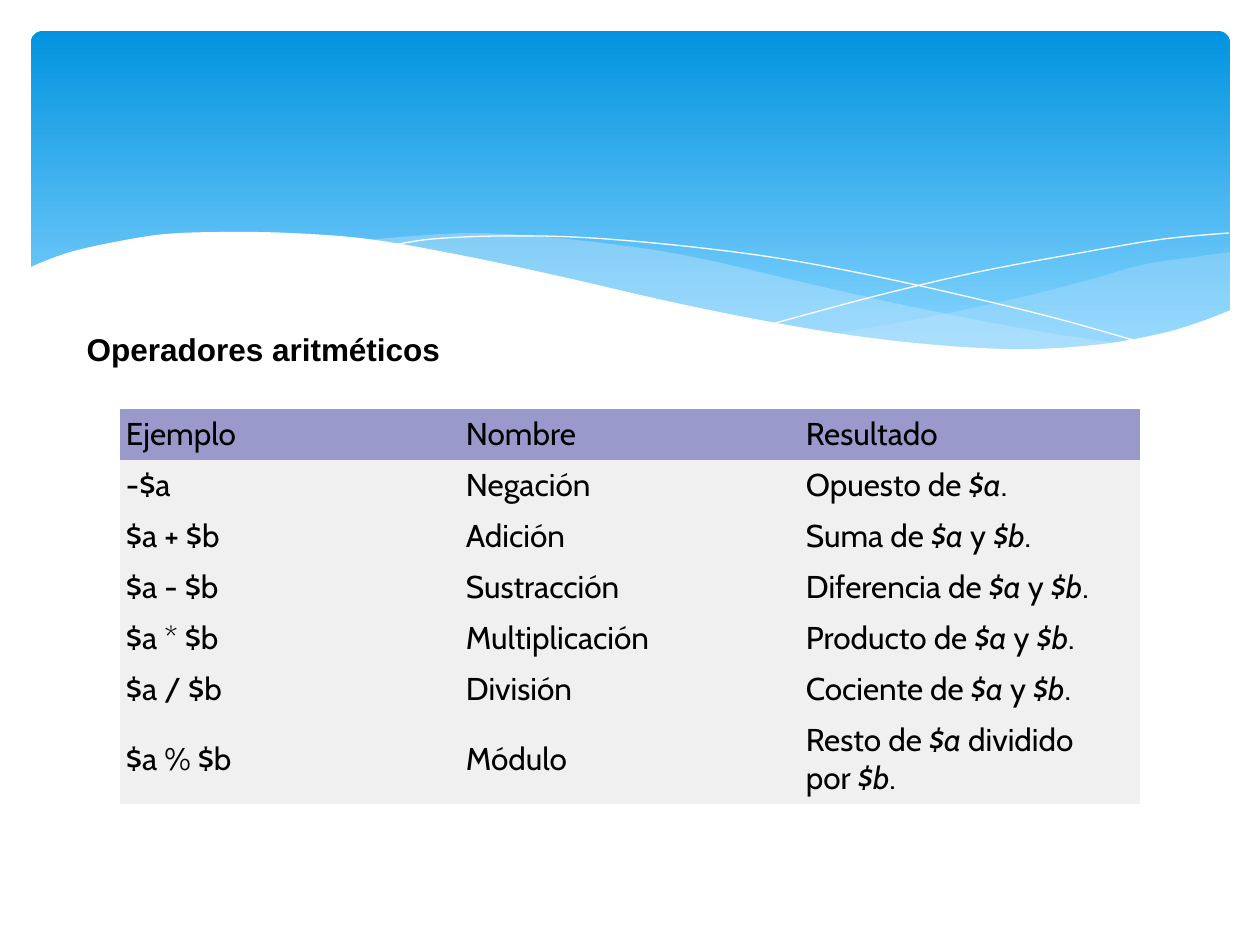
import pptx
import pptx.dml.color
import pptx.enum.shapes
import pptx.enum.text
import pptx.oxml.ns
import pptx.util
import lxml.etree

RGBColor = pptx.dml.color.RGBColor
SKY_TOP = RGBColor(0x02, 0x93, 0xE0)
SKY_BOTTOM = RGBColor(0x83, 0xD3, 0xFE)
SWELL = RGBColor(0xC6, 0xE7, 0xFC)
WHITE = RGBColor(0xFF, 0xFF, 0xFF)
BLACK = RGBColor(0x00, 0x00, 0x00)
HEADER_FILL = RGBColor(0x99, 0x99, 0xCC)
BODY_FILL = RGBColor(0xF0, 0xF0, 0xF0)

EMU_PER_PX = 914400 / 126
NO_BREAK_SPACE = chr(160)
PLAIN_TABLE_STYLE = "{2D5ABB26-0587-4C30-8999-92F81FD0307C}"

# Wave outlines, in px from the top left of the banner
RIGHT_SWELL_TOP = [(802, 303), (888, 288), (983, 268), (1054, 250), (1111, 234),
                   (1163, 226), (1199, 221)]
RIGHT_SWELL_BASE = [(1199, 280), (1165, 293), (1119, 305), (1056, 316), (995, 319),
                    (923, 317), (857, 310), (802, 303)]
LEFT_SWELL_TOP = [(329, 210), (382, 205), (448, 202), (526, 207), (617, 218), (686, 231),
                  (762, 249), (859, 271), (946, 289), (1024, 303), (1094, 313)]
LEFT_SWELL_BASE = [(1094, 313), (1037, 318), (972, 319), (896, 316), (807, 304),
                   (705, 287), (588, 261), (507, 241), (425, 225), (329, 210)]
FALLING_THREAD = [(358, 215), (402, 208), (474, 205), (560, 207), (670, 217),
                  (770, 231), (885, 254), (1016, 285), (1112, 312)]
RISING_THREAD = [(741, 293), (845, 265), (947, 241), (1060, 220), (1133, 208), (1198, 202)]
FRONT_WAVE = [(-2, 237), (14, 230), (43, 220), (89, 210), (135, 203), (192, 201),
              (259, 202), (337, 208), (429, 224), (532, 246), (636, 270), (729, 289),
              (811, 303), (884, 312), (949, 317), (1006, 318), (1072, 313), (1128, 303),
              (1166, 292), (1200, 279)]
FRONT_WAVE_FLOOR = [(1200, 384), (-2, 384)]

# Table wording; text between bars is a variable in italics
OPERATORS = [
    ("Ejemplo", "Nombre", "Resultado"),
    ("-$a", "Negación", "Opuesto de |$a|."),
    ("$a + $b", "Adición", "Suma de |$a| y |$b|."),
    ("$a - $b", "Sustracción", "Diferencia de |$a| y |$b|."),
    ("$a * $b", "Multiplicación", "Producto de |$a| y |$b|."),
    ("$a / $b", "División", "Cociente de |$a| y |$b|."),
    ("$a % $b", "Módulo", "Resto de |$a| dividido por |$b|."),
]


def px(length):
    return pptx.util.Emu(round(length * EMU_PER_PX))


def smooth(points, steps=6):
    """Run a Catmull-Rom curve through the points."""
    ends = [points[0], *points, points[-1]]
    curve = [points[0]]
    for before, start, stop, after in zip(ends, ends[1:], ends[2:], ends[3:]):
        for step in range(1, steps + 1):
            t = step / steps
            curve.append(tuple(
                (2 * b + (c - a) * t + (2 * a - 5 * b + 4 * c - d) * t ** 2
                 + (3 * b - a - 3 * c + d) * t ** 3) / 2
                for a, b, c, d in zip(before, start, stop, after)))
    return curve


def add_outline(page, box, points, closed=True):
    left, top = box[:2]
    corners = [(px(left + x), px(top + y)) for x, y in points]
    builder = page.shapes.build_freeform(*corners[0])
    builder.add_line_segments(corners[1:], close=closed)
    outline = builder.convert_to_shape()
    outline.shadow.inherit = False
    return outline


def add_wave(page, box, points, color, opacity=100):
    wave = add_outline(page, box, points)
    wave.fill.solid()
    wave.fill.fore_color.rgb = color
    wave.line.fill.background()
    if opacity < 100:
        color_element = wave.fill._xPr.find(".//" + pptx.oxml.ns.qn("a:srgbClr"))
        lxml.etree.SubElement(color_element, pptx.oxml.ns.qn("a:alpha"),
                              val=str(opacity * 1000))


def add_thread(page, box, points):
    thread = add_outline(page, box, smooth(points), closed=False)
    thread.fill.background()
    thread.line.color.rgb = WHITE
    thread.line.width = pptx.util.Pt(0)


def add_banner(page, box):
    # Blue sky
    sky = page.shapes.add_shape(pptx.enum.shapes.MSO_SHAPE.ROUNDED_RECTANGLE,
                                *map(px, box))
    sky.adjustments[0] = 0.034
    sky.shadow.inherit = False
    sky.line.fill.background()
    sky.fill.gradient()
    sky.fill.gradient_angle = 270
    first, last = sky.fill.gradient_stops
    first.color.rgb = SKY_TOP
    last.color.rgb = SKY_BOTTOM
    last.position = 0.9

    # Swells, threads and the white wave in front
    add_wave(page, box, smooth(RIGHT_SWELL_TOP) + smooth(RIGHT_SWELL_BASE), SWELL, 29)
    add_wave(page, box, smooth(LEFT_SWELL_TOP) + smooth(LEFT_SWELL_BASE), SWELL, 40)
    add_thread(page, box, FALLING_THREAD)
    add_thread(page, box, RISING_THREAD)
    add_wave(page, box, smooth(FRONT_WAVE) + FRONT_WAVE_FLOOR, WHITE)


def format_span(span, font, bold=False, italic=False):
    span.font.name = font
    span.font.size = pptx.util.Pt(18)
    span.font.color.rgb = BLACK
    span.font.bold = bold
    span.font.italic = italic


def add_heading(page, box):
    title = page.shapes.title
    title.left, title.top, title.width, title.height = map(px, box)
    frame = title.text_frame
    frame.text = "Operadores aritméticos"
    frame.word_wrap = True
    frame.auto_size = pptx.enum.text.MSO_AUTO_SIZE.SHAPE_TO_FIT_TEXT
    frame.vertical_anchor = pptx.enum.text.MSO_ANCHOR.TOP
    para = frame.paragraphs[0]
    para.alignment = pptx.enum.text.PP_ALIGN.LEFT
    format_span(para.runs[0], "Arial", bold=True)
    # Bring the heading in front of the banner
    page.shapes._spTree.append(title._element)


def fill_cell(cell, text, color):
    cell.fill.solid()
    cell.fill.fore_color.rgb = color
    cell.vertical_anchor = pptx.enum.text.MSO_ANCHOR.MIDDLE
    cell.margin_left = cell.margin_right = px(6)
    cell.margin_top = cell.margin_bottom = px(6)
    para = cell.text_frame.paragraphs[0]
    # Variables stay on the line of the word beside them
    text = text.replace(" |", NO_BREAK_SPACE + "|").replace("| ", "|" + NO_BREAK_SPACE)
    for index, part in enumerate(text.split("|")):
        span = para.add_run()
        span.text = part
        format_span(span, "Cabin", italic=index % 2 == 1)


def add_operator_table(page, box, row_height=51):
    left, top, width, height = box
    table = page.shapes.add_table(len(OPERATORS), len(OPERATORS[0]),
                                  *map(px, box)).table
    table.first_row = table.horz_banding = False
    table._tbl.tblPr.find(pptx.oxml.ns.qn("a:tableStyleId")).text = PLAIN_TABLE_STYLE
    for column in table.columns:
        column.width = px(width / len(OPERATORS[0]))
    for row in table.rows:
        row.height = px(row_height)
    # The last row takes what is left, for its two lines
    table.rows[len(OPERATORS) - 1].height = px(height - row_height * (len(OPERATORS) - 1))
    for row_index, texts in enumerate(OPERATORS):
        color = BODY_FILL if row_index else HEADER_FILL
        for column_index, text in enumerate(texts):
            fill_cell(table.cell(row_index, column_index), text, color)


def main():
    deck = pptx.Presentation()
    deck.slide_width, deck.slide_height = px(1260), px(945)
    page = deck.slides.add_slide(deck.slide_layouts[5])
    add_banner(page, (31, 31, 1199, 341))
    add_heading(page, (74, 324, 963, 50))
    add_operator_table(page, (120, 409, 1020, 395))
    deck.save("out.pptx")


if __name__ == "__main__":
    main()
